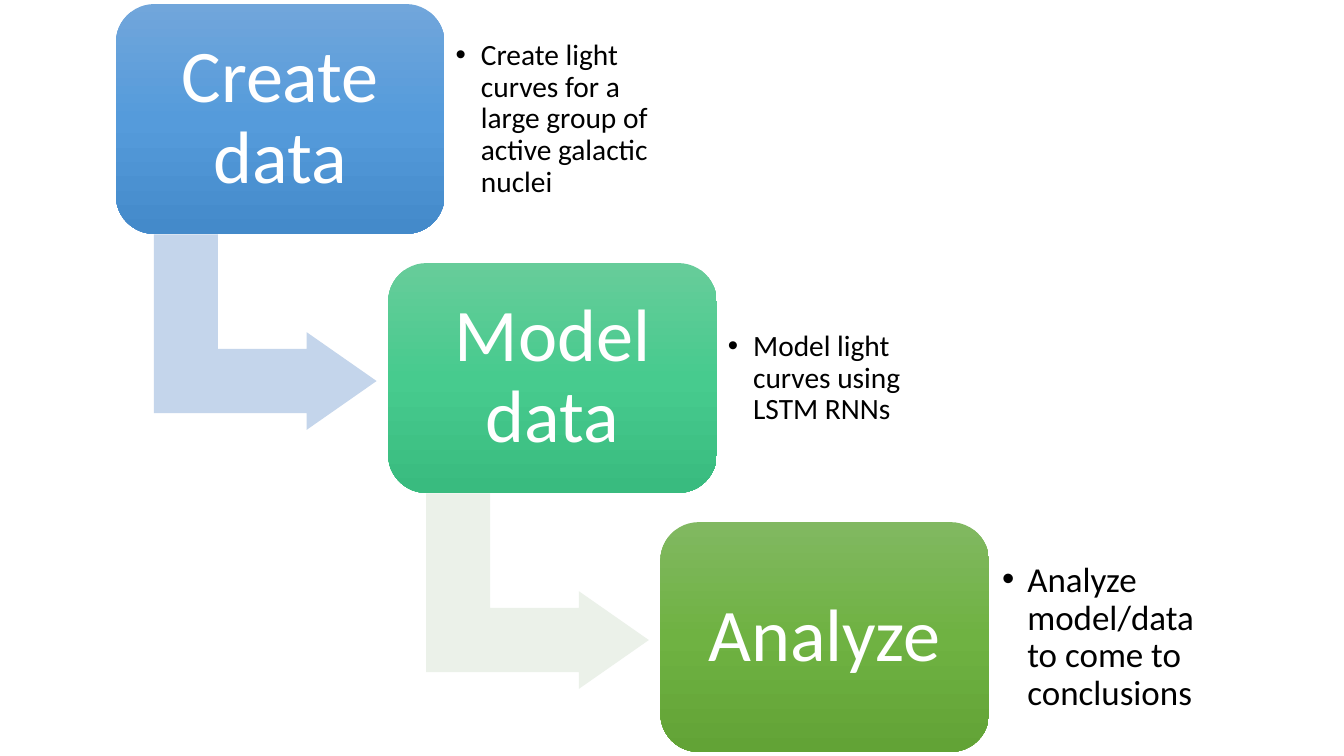
"""Build a slide with a three-step descending process from data to analysis."""
from copy import deepcopy

from lxml import etree
from pptx import Presentation
from pptx.dml.color import RGBColor
from pptx.enum.shapes import MSO_SHAPE
from pptx.enum.text import MSO_ANCHOR, MSO_AUTO_SIZE, PP_ALIGN
from pptx.oxml.ns import qn
from pptx.util import Inches, Pt

ROUNDED, BENT_ARROW = MSO_SHAPE.ROUNDED_RECTANGLE, MSO_SHAPE.BENT_UP_ARROW
MIDDLE, NO_AUTOFIT = MSO_ANCHOR.MIDDLE, MSO_AUTO_SIZE.NONE
CENTER, LEFT = PP_ALIGN.CENTER, PP_ALIGN.LEFT

STEPS = [
    {"label": "Create data",
     "note": "Create light curves for a large group of active galactic nuclei",
     "note_size": 21, "note_inset": 0.11,
     "gradient": ("71A6DB", "559BDB", "448ACA"), "arrow": "C4D5EB"},
    {"label": "Model data",
     "note": "Model light curves using LSTM RNNs",
     "note_size": 21, "note_inset": 0.11,
     "gradient": ("67CC9A", "47CB8E", "39BB7F"), "arrow": "EBF1E9"},
    {"label": "Analyze",
     "note": "Analyze model/data to come to conclusions",
     "note_size": 25, "note_inset": 0.13,
     "gradient": ("81B861", "6FB242", "62A336"), "arrow": None},
]
FIRST_LEFT, FIRST_TOP = 1.15, 0.04
STEP_X, STEP_Y = 2.7, 2.57
BOX = (0, 0, 3.26, 2.28)
NOTE = (3.26, 0.22, 2.37, 1.85)
ARROW = (0.51, 2.15, 1.94, 2.21)
COMPARISON_LAYOUT = 4
NOTE_PLACEHOLDERS = (1, 2, 3)


def color(hex_string):
    return RGBColor.from_string(hex_string)


def place(step_index, area):
    left, top, width, height = area
    return [Inches(length) for length in (
        FIRST_LEFT + step_index * STEP_X + left,
        FIRST_TOP + step_index * STEP_Y + top, width, height)]


def set_all(target, values):
    for name, value in values.items():
        setattr(target, name, value)


def write(shape, text, size, hex_string, align, inset, bullet=False):
    frame = shape.text_frame
    margins = {f"margin_{side}": Inches(inset) for side in ("left", "top", "right", "bottom")}
    set_all(frame, {"text": text, "word_wrap": True, "auto_size": NO_AUTOFIT,
                    "vertical_anchor": MIDDLE, **margins})
    paragraph = frame.paragraphs[0]
    if bullet:
        properties = paragraph._p.get_or_add_pPr()
        properties.set("marL", str(Inches(0.25)))
        properties.set("indent", str(-Inches(0.25)))
        etree.SubElement(properties, qn("a:buFont"), typeface="Arial")
        etree.SubElement(properties, qn("a:buChar"), char="•")
    set_all(paragraph, {"alignment": align, "line_spacing": 0.9, "space_before": Pt(0)})
    set_all(paragraph.font, {"name": "Calibri", "size": Pt(size), "bold": False})
    paragraph.font.color.rgb = color(hex_string)


def add_plain(slide, kind, area, adjustments):
    shape = slide.shapes.add_shape(kind, *area)
    shape.shadow.inherit = False
    shape.line.fill.background()
    for number, value in enumerate(adjustments):
        shape.adjustments[number] = value
    return shape


def fill_gradient(shape, hex_strings):
    shape.fill.gradient()
    shape.fill.gradient_angle = 270
    stop_list = shape._element.spPr.find(".//" + qn("a:gsLst"))
    stop_list.append(deepcopy(stop_list[-1]))
    for stop, position, hex_string in zip(shape.fill.gradient_stops, (0, 0.5, 1), hex_strings):
        stop.position = position
        stop.color.rgb = color(hex_string)


def add_step(slide, index, step, note):
    if step["arrow"]:
        arrow = add_plain(slide, BENT_ARROW, place(index, ARROW), (0.328, 0.25, 0.358))
        arrow.rotation = 90
        arrow.fill.solid()
        arrow.fill.fore_color.rgb = color(step["arrow"])
    box = add_plain(slide, ROUNDED, place(index, BOX), (0.167,))
    fill_gradient(box, step["gradient"])
    write(box, step["label"], 53, "FFFFFF", CENTER, 0.22)
    set_all(note, dict(zip(("left", "top", "width", "height"), place(index, NOTE))))
    write(note, step["note"], step["note_size"], "000000", LEFT, step["note_inset"], bullet=True)


def main():
    deck = Presentation()
    set_all(deck, {"slide_width": Inches(13.33), "slide_height": Inches(7.5)})
    slide = deck.slides.add_slide(deck.slide_layouts[COMPARISON_LAYOUT])
    notes = []
    for placeholder in list(slide.placeholders):
        if placeholder.placeholder_format.idx in NOTE_PLACEHOLDERS:
            notes.append(placeholder)
        else:
            placeholder._element.getparent().remove(placeholder._element)
    for index, (step, note) in enumerate(zip(STEPS, notes)):
        add_step(slide, index, step, note)
    deck.save("out.pptx")


if __name__ == "__main__":
    main()
